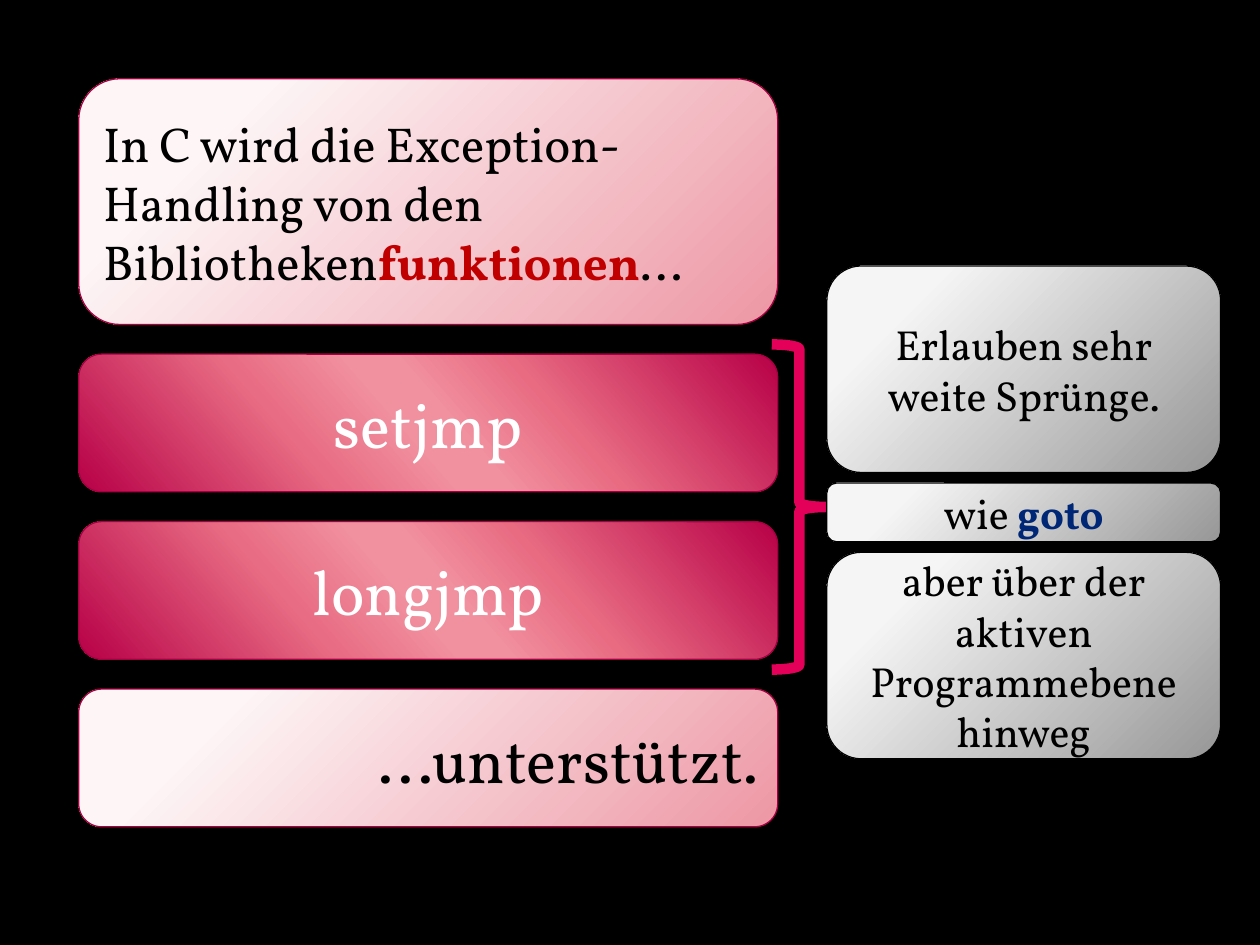
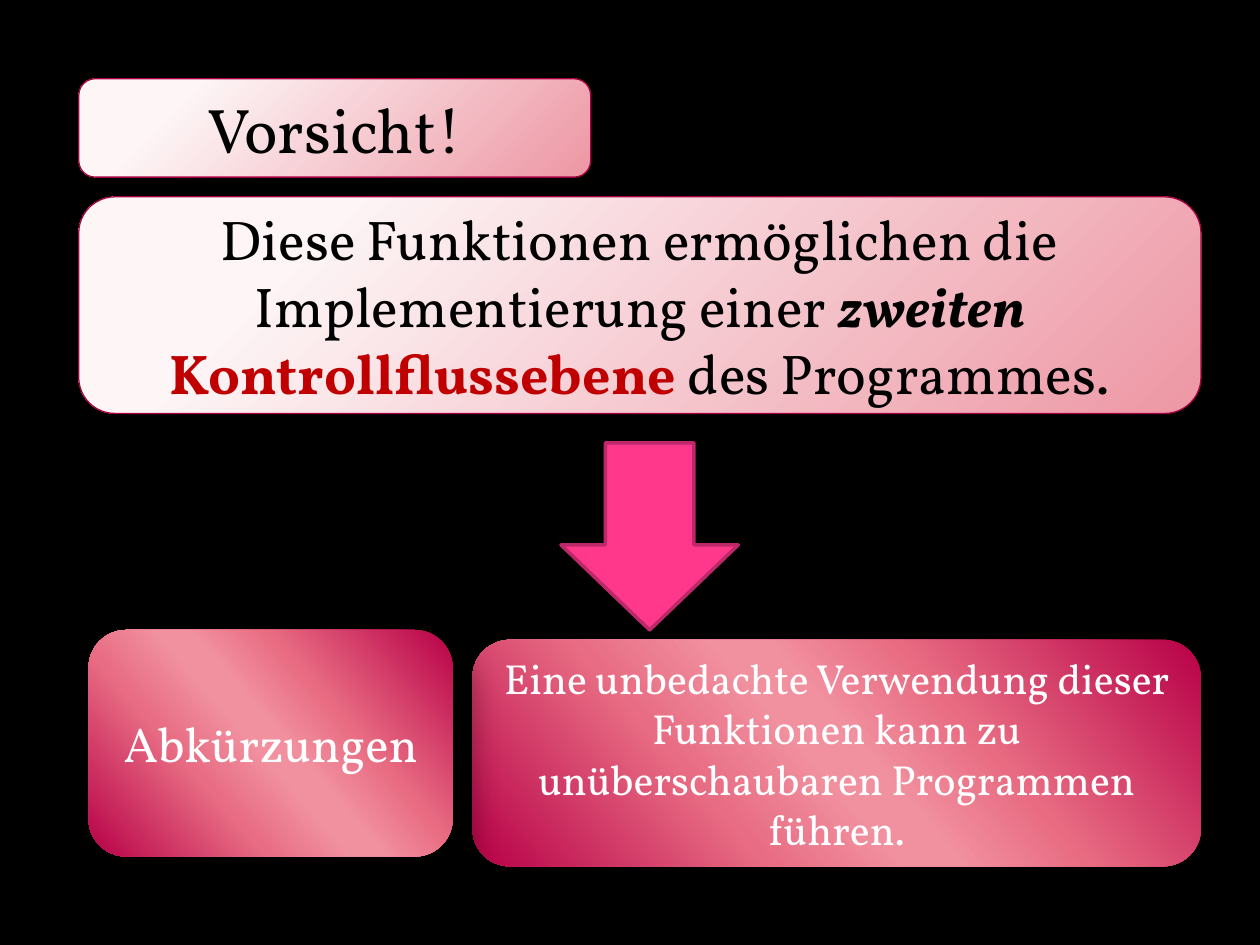
from dataclasses import dataclass
from typing import NamedTuple, Optional

from lxml.etree import SubElement
from pptx import Presentation
from pptx.dml.color import RGBColor
from pptx.enum.shapes import MSO_SHAPE
from pptx.enum.text import MSO_ANCHOR, PP_ALIGN
from pptx.oxml.ns import qn
from pptx.util import Pt

FONT = "Vollkorn"
COLORS = {
    "black": "000000", "white": "FFFFFF", "red": "C00000", "navy": "002776",
    "border": "A60041", "brace": "E40059", "arrow": "FF388C", "arrow_edge": "BD2968",
    "blush": "FDF5F6", "rose": "ED97A4", "mist": "F5F5F5", "gray": "979797",
    "crimson": "B70047", "coral": "E86B82", "coral_end": "E86C83", "pink": "F1909F",
}


class Shadow(NamedTuple):
    opacity: int
    blur: float
    distance: float


class Area(NamedTuple):
    left: float
    top: float
    width: float
    height: float


class Span(NamedTuple):
    text: str
    color: Optional[str] = None
    bold: bool = False
    italic: bool = False


@dataclass(frozen=True)
class Look:
    stops: tuple[tuple[int, str], ...]
    edge: Optional[str]
    text: str
    shadow: Shadow
    angle: Optional[int] = None  # None gives a radial gradient


@dataclass(frozen=True)
class Card:
    area: Area
    look: Look
    size: int
    spans: tuple[Span, ...]
    align: PP_ALIGN = PP_ALIGN.CENTER


SOFT = Shadow(35, 10.2, 8)
DEEP = Shadow(26, 15, 18)
PALE = Look(((20, "blush"), (100, "rose")), "border", "black", SOFT)
NEUTRAL = Look(((20, "mist"), (100, "gray")), "black", "black", SOFT)
GLOSS_STOPS = ((0, "crimson"), (33, "coral"), (47, "pink"),
               (53, "pink"), (68, "coral_end"), (100, "crimson"))
GLOSS = Look(GLOSS_STOPS, "border", "white", DEEP, 139)
GLOSS_BARE = Look(GLOSS_STOPS, None, "white", DEEP, 139)


def rgb(name: str) -> RGBColor:
    return RGBColor.from_string(COLORS[name])


def add_color(parent, name: str, opacity: int = 100) -> None:
    color = SubElement(parent, qn("a:srgbClr"), val=COLORS[name])
    if opacity < 100:
        SubElement(color, qn("a:alpha"), val=str(opacity * 1000))


def set_gradient(shape, look: Look) -> None:
    shape.fill.background()
    properties = shape._element.spPr
    empty_fill = properties.find(qn("a:noFill"))
    gradient = SubElement(properties, qn("a:gradFill"), rotWithShape="1")
    properties.replace(empty_fill, gradient)
    stop_list = SubElement(gradient, qn("a:gsLst"))
    for position, name in look.stops:
        add_color(SubElement(stop_list, qn("a:gs"), pos=str(position * 1000)), name)
    if look.angle is None:
        radial = SubElement(gradient, qn("a:path"), path="circle")
        SubElement(radial, qn("a:fillToRect"), l="-15000", t="-15000", r="115000", b="115000")
    else:
        SubElement(gradient, qn("a:lin"), ang=str(look.angle * 60000), scaled="1")


def set_line(shape, name: Optional[str], width: float) -> None:
    if name is None:
        shape.line.fill.background()
    else:
        shape.line.color.rgb = rgb(name)
        shape.line.width = Pt(width)


def add_shape(page, kind: MSO_SHAPE, area: Area, shadow: Optional[Shadow] = None):
    shape = page.shapes.add_shape(kind, *(Pt(length) for length in area))
    shape.shadow.inherit = False
    if shadow:
        effects = shape._element.spPr.find(qn("a:effectLst"))
        outer = SubElement(effects, qn("a:outerShdw"), blurRad=str(Pt(shadow.blur)),
                           dist=str(Pt(shadow.distance)), dir=str(45 * 60000),
                           algn="ctr", rotWithShape="0")
        add_color(outer, "black", shadow.opacity)
    return shape


def add_card(page, card: Card) -> None:
    look = card.look
    box = add_shape(page, MSO_SHAPE.ROUNDED_RECTANGLE, card.area, look.shadow)
    set_gradient(box, look)
    set_line(box, look.edge, 0.75)
    frame = box.text_frame
    frame.word_wrap = True
    frame.vertical_anchor = MSO_ANCHOR.MIDDLE
    para = frame.paragraphs[0]
    para.alignment = card.align
    for span in card.spans:
        run = para.add_run()
        run.text = span.text
        run.font.name = FONT
        run.font.size = Pt(card.size)
        run.font.bold = span.bold
        run.font.italic = span.italic
        run.font.color.rgb = rgb(span.color or look.text)


def stack(left: float, top: float, width: float, gap: float, heights: list[float]) -> list[Area]:
    """Areas placed one below the other with an equal gap."""
    return [Area(left, top + sum(heights[:index]) + index * gap, width, height)
            for index, height in enumerate(heights)]


def add_page(deck):
    page = deck.slides.add_slide(deck.slide_layouts[6])
    page.background.fill.solid()
    page.background.fill.fore_color.rgb = rgb("black")
    return page


def build_functions_page(deck) -> None:
    page = add_page(deck)

    # Left column: the sentence around the two functions
    intro, first, second, ending = stack(45, 45, 399.4, 17, [140.4, 78.7, 78.7, 78.7])
    add_card(page, Card(intro, PALE, 28, (
        Span("In C wird die Exception-Handling von den Bibliotheken"),
        Span("funktionen", "red", bold=True), Span("...")), PP_ALIGN.LEFT))
    add_card(page, Card(first, GLOSS, 36, (Span("setjmp"),)))
    add_card(page, Card(second, GLOSS, 36, (Span("longjmp"),)))
    add_card(page, Card(ending, PALE, 36, (Span("...unterstützt."),), PP_ALIGN.RIGHT))

    # Brace around the functions
    brace = add_shape(page, MSO_SHAPE.RIGHT_BRACE, Area(441, 196.8, 31.5, 185.8), DEEP)
    brace.fill.background()
    set_line(brace, "brace", 6)

    # Right column: what the functions do
    notes = (
        (Span("Erlauben sehr weite Sprünge."),),
        (Span("wie "), Span("goto", "navy", bold=True)),
        (Span("aber über der aktiven Programmebene hinweg"),),
    )
    for area, spans in zip(stack(472.5, 152, 225, 6, [118, 33.6, 118]), notes):
        add_card(page, Card(area, NEUTRAL, 24, spans))


def build_warning_page(deck) -> None:
    page = add_page(deck)

    # Warning and statement
    add_card(page, Card(Area(45, 45, 292.5, 56.25), PALE, 36, (Span("Vorsicht!"),)))
    add_card(page, Card(Area(45, 112.5, 641.3, 123.75), PALE, 32, (
        Span("Diese Funktionen ermöglichen die Implementierung einer "),
        Span("zweiten ", bold=True, italic=True),
        Span("Kontrollflussebene", "red", bold=True),
        Span(" des Programmes."))))

    # Consequence, arrow and shortcuts
    add_card(page, Card(Area(270, 365.6, 416.3, 129.4), GLOSS_BARE, 24, (
        Span("Eine unbedachte Verwendung dieser Funktionen kann zu "
             "unüberschaubaren Programmen führen."),)))
    arrow = add_shape(page, MSO_SHAPE.DOWN_ARROW, Area(320.6, 253.1, 101.3, 106.9))
    arrow.adjustments[0] = 0.5
    arrow.adjustments[1] = 0.48
    arrow.fill.solid()
    arrow.fill.fore_color.rgb = rgb("arrow")
    set_line(arrow, "arrow_edge", 2)
    add_card(page, Card(Area(50.6, 360, 208.1, 129.4), GLOSS_BARE, 28,
                        (Span("Abkürzungen"),)))


def main() -> None:
    deck = Presentation()
    deck.slide_width, deck.slide_height = Pt(720), Pt(540)
    build_functions_page(deck)
    build_warning_page(deck)
    deck.save("out.pptx")


if __name__ == "__main__":
    main()
